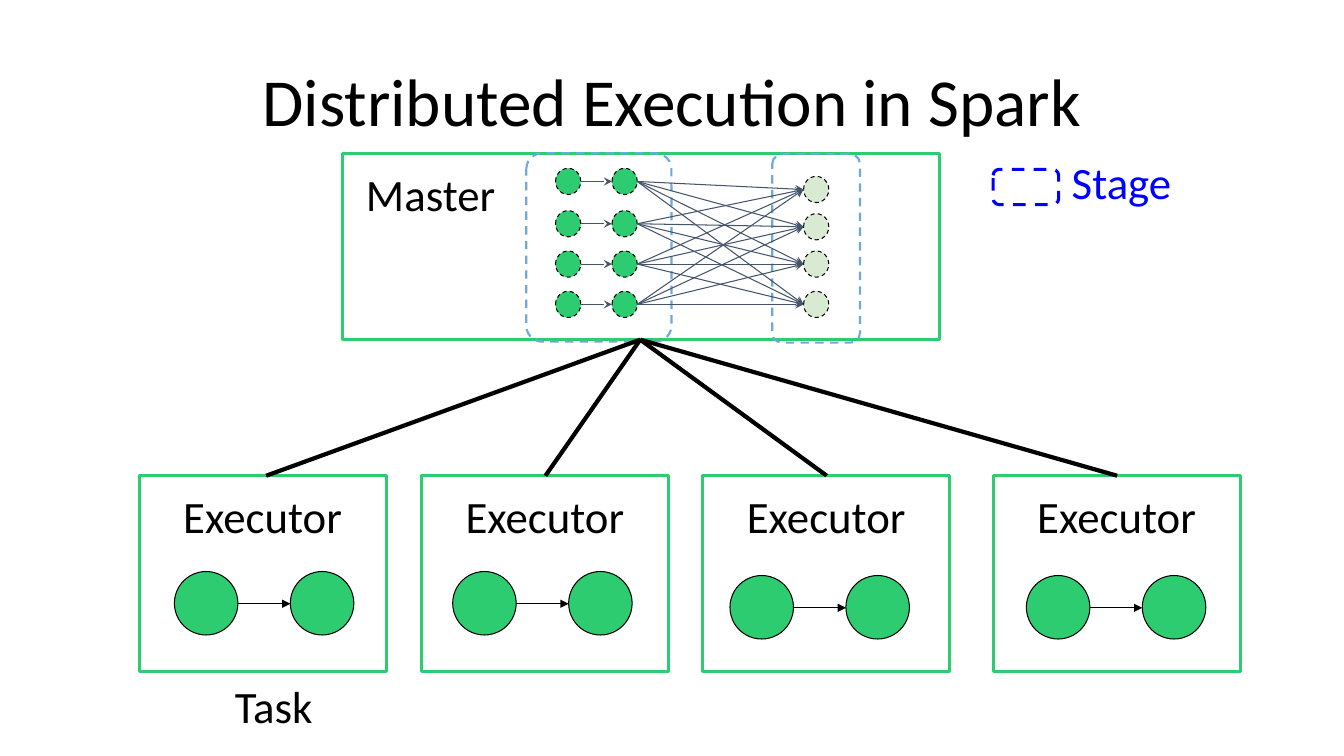
from dataclasses import dataclass
from itertools import product
from typing import Optional

from lxml.etree import SubElement
from pptx import Presentation
from pptx.dml.color import RGBColor
from pptx.enum.dml import MSO_LINE
from pptx.enum.shapes import MSO_CONNECTOR, MSO_SHAPE
from pptx.enum.text import MSO_ANCHOR, MSO_AUTO_SIZE, PP_ALIGN
from pptx.oxml.ns import qn
from pptx.slide import Slide
from pptx.text.text import TextFrame
from pptx.util import Emu, Pt

SCALE = 9144


@dataclass(frozen=True)
class Theme:
    font: str = "Calibri"
    title: int = 48
    label: int = 32
    black: str = "000000"
    white: str = "FFFFFF"
    green: str = "2ECC71"
    pale: str = "D9EAD3"
    blue: str = "0000FF"
    sky: str = "6FA8DC"
    slate: str = "44546A"


@dataclass(frozen=True)
class Box:
    left: int
    top: int
    width: int
    height: int


@dataclass(frozen=True)
class Look:
    line: str
    weight: float
    fill: Optional[str] = None
    dash: bool = False


@dataclass(frozen=True)
class Text:
    words: str
    size: int
    color: str
    align: PP_ALIGN = PP_ALIGN.LEFT
    anchor: MSO_ANCHOR = MSO_ANCHOR.TOP
    inset: int = 13
    space: float = 1.0


@dataclass(frozen=True)
class Worker:
    left: int
    joint: int
    task: int
    top: int


THEME = Theme()
FRAME = Look(THEME.green, 2.25)
PANEL = Look(THEME.green, 2.25, THEME.white)
STAGE = Look(THEME.sky, 1.5, dash=True)
LEGEND = Look(THEME.blue, 2.25, dash=True)
TASK = Look(THEME.black, 0.75, THEME.green)
FULL = Look(THEME.black, 0.75, THEME.green, True)
FAINT = Look(THEME.black, 0.75, THEME.pale, True)
WIRE = Look(THEME.black, 3)
STEP = Look(THEME.black, 0.75)
FLOW = Look(THEME.slate, 0.75)

WORKERS = [
    Worker(138, 264, 173, 567),
    Worker(418, 541, 449, 567),
    Worker(697, 820, 724, 571),
    Worker(985, 1108, 1018, 571),
]
STARTS = [167, 209, 249, 289]
ENDS = [175, 212, 249, 289]
DOT_W, DOT_H = 25, 26
FIRST, NEXT, LAST = 551, 607, 797
BALL, PITCH = 63, 115
HUB = (635, 337)
FLOOR = 472


def px(count: int) -> Emu:
    return Emu(count * SCALE)


def place(box: Box) -> tuple[Emu, Emu, Emu, Emu]:
    return px(box.left), px(box.top), px(box.width), px(box.height)


def write(frame: TextFrame, text: Text) -> None:
    frame.word_wrap = True
    frame.auto_size = MSO_AUTO_SIZE.NONE
    frame.vertical_anchor = text.anchor
    frame.margin_left = px(text.inset)
    frame.margin_top = frame.margin_right = frame.margin_bottom = px(13)
    line = frame.paragraphs[0]
    line.alignment = text.align
    line.line_spacing = text.space
    run = line.add_run()
    run.text = text.words
    run.font.name = THEME.font
    run.font.size = Pt(text.size)
    run.font.color.rgb = RGBColor.from_string(text.color)


def label(slide: Slide, box: Box, text: Text) -> None:
    write(slide.shapes.add_textbox(*place(box)).text_frame, text)


def draw(slide: Slide, kind: MSO_SHAPE, box: Box, look: Look,
         text: Optional[Text] = None, round_by: Optional[float] = None) -> None:
    shape = slide.shapes.add_shape(kind, *place(box))
    shape.shadow.inherit = False
    if look.fill:
        shape.fill.solid()
        shape.fill.fore_color.rgb = RGBColor.from_string(look.fill)
    else:
        shape.fill.background()
    shape.line.color.rgb = RGBColor.from_string(look.line)
    shape.line.width = Pt(look.weight)
    if look.dash:
        shape.line.dash_style = MSO_LINE.DASH
    if round_by is not None:
        shape.adjustments[0] = round_by
    if text:
        write(shape.text_frame, text)


def link(slide: Slide, start: tuple[int, int], end: tuple[int, int],
         look: Look, head: Optional[str] = None) -> None:
    wire = slide.shapes.add_connector(
        MSO_CONNECTOR.STRAIGHT, *map(px, start), *map(px, end))
    wire.line.color.rgb = RGBColor.from_string(look.line)
    wire.line.width = Pt(look.weight)
    props = wire.element.spPr
    if head:
        SubElement(props.find(qn("a:ln")), qn("a:tailEnd"), type=head)
    SubElement(props, qn("a:effectLst"))


def draw_master(slide: Slide) -> None:
    draw(slide, MSO_SHAPE.RECTANGLE, Box(340, 152, 592, 185), FRAME,
         Text("Master", THEME.label, THEME.black, inset=23))
    for box in (Box(522, 152, 144, 187), Box(766, 153, 87, 187)):
        draw(slide, MSO_SHAPE.ROUNDED_RECTANGLE, box, STAGE, round_by=0.11)
    half = DOT_H // 2
    for left, tops, look in ((FIRST, STARTS, FULL), (NEXT, STARTS, FULL),
                             (LAST, ENDS, FAINT)):
        for top in tops:
            draw(slide, MSO_SHAPE.OVAL, Box(left, top, DOT_W, DOT_H), look)
    for top in STARTS:
        link(slide, (FIRST + DOT_W, top + half), (NEXT, top + half),
             FLOW, "stealth")
    for start, end in product(STARTS, ENDS):
        link(slide, (NEXT + DOT_W, start + half), (LAST, end + half),
             FLOW, "stealth")


def draw_worker(slide: Slide, worker: Worker) -> None:
    draw(slide, MSO_SHAPE.RECTANGLE, Box(worker.left, FLOOR, 245, 194), PANEL,
         Text("Executor", THEME.label, THEME.black, PP_ALIGN.CENTER))
    for left in (worker.task, worker.task + PITCH):
        draw(slide, MSO_SHAPE.OVAL, Box(left, worker.top, BALL, BALL), TASK)
    mid = worker.top + BALL // 2 + 1
    link(slide, (worker.task + BALL, mid), (worker.task + PITCH, mid),
         STEP, "triangle")
    link(slide, HUB, (worker.joint, FLOOR), WIRE)


def main() -> None:
    deck = Presentation()
    deck.slide_width, deck.slide_height = px(1333), px(750)
    slide = deck.slides.add_slide(deck.slide_layouts[5])
    title = slide.shapes.title
    title.left, title.top, title.width, title.height = place(
        Box(0, 42, 1333, 123))
    write(title.text_frame,
          Text("Distributed Execution in Spark", THEME.title, THEME.black,
               PP_ALIGN.CENTER, MSO_ANCHOR.MIDDLE, space=0.9))
    draw_master(slide)
    draw(slide, MSO_SHAPE.ROUNDED_RECTANGLE, Box(985, 168, 65, 35), LEGEND,
         round_by=0.17)
    label(slide, Box(1050, 152, 236, 63),
          Text("Stage", THEME.label, THEME.blue,
               anchor=MSO_ANCHOR.MIDDLE, space=0.9))
    for worker in WORKERS:
        draw_worker(slide, worker)
    label(slide, Box(220, 660, 484, 67),
          Text("Task", THEME.label, THEME.black))
    deck.save("out.pptx")


if __name__ == "__main__":
    main()
